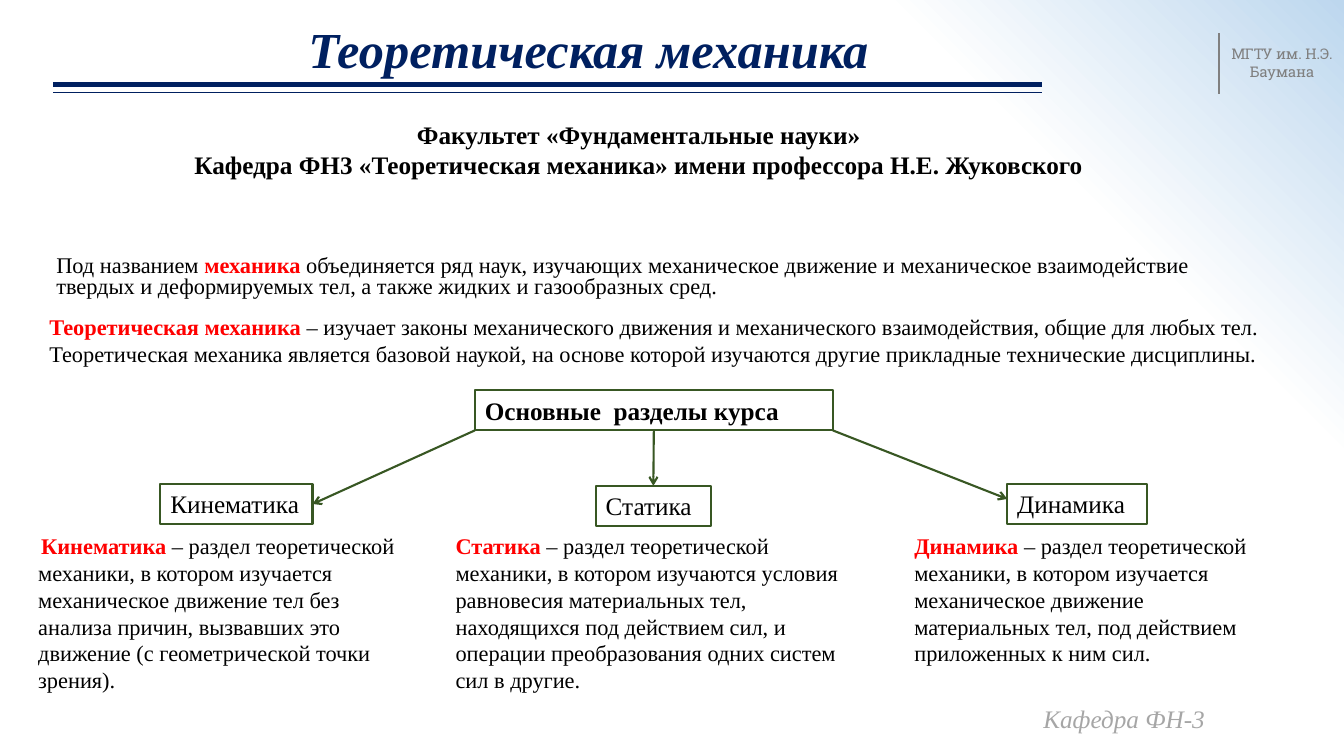
from pptx import Presentation
from pptx.dml.color import RGBColor
from pptx.enum.shapes import MSO_CONNECTOR, MSO_SHAPE
from pptx.enum.text import MSO_ANCHOR, PP_ALIGN
from pptx.oxml import parse_xml
from pptx.oxml.ns import nsdecls
from pptx.util import Inches, Pt
from lxml.etree import SubElement
from pptx.oxml.ns import qn

NAVY = RGBColor(0x00, 0x20, 0x60)
GREEN = RGBColor(0x38, 0x57, 0x23)
RED = RGBColor(0xFF, 0x00, 0x00)
BLACK = RGBColor(0x00, 0x00, 0x00)
GRAY = RGBColor(0x80, 0x80, 0x80)
SILVER = RGBColor(0xA6, 0xA6, 0xA6)

deck = Presentation()
deck.slide_width = Inches(13.33)
deck.slide_height = Inches(7.5)
slide = deck.slides.add_slide(deck.slide_layouts[6])
shapes = slide.shapes

slide.element.cSld.insert(0, parse_xml(
    f'<p:bg {nsdecls("p", "a")}><p:bgPr><a:gradFill rotWithShape="1"><a:gsLst>'
    '<a:gs pos="78000"><a:srgbClr val="FFFFFF"/></a:gs>'
    '<a:gs pos="100000"><a:srgbClr val="BDD7EE"/></a:gs></a:gsLst>'
    '<a:path path="circle"><a:fillToRect t="100000" r="100000"/></a:path>'
    '</a:gradFill><a:effectLst/></p:bgPr></p:bg>'))


def write(shape, lines, size, align=PP_ALIGN.LEFT, face="Times New Roman"):
    frame = shape.text_frame
    frame.word_wrap = True
    frame.vertical_anchor = MSO_ANCHOR.TOP
    for i, runs in enumerate(lines):
        para = frame.paragraphs[0] if i == 0 else frame.add_paragraph()
        para.alignment = align
        for text, color, bold, italic in runs:
            run = para.add_run()
            run.text = text
            run.font.name = face
            run.font.size = Pt(size)
            run.font.color.rgb = color
            run.font.bold = bold
            run.font.italic = italic
    return frame.paragraphs[0]


def draw(x1, y1, x2, y2, color, width, arrow=False):
    line = shapes.add_connector(MSO_CONNECTOR.STRAIGHT, Inches(x1), Inches(y1),
                                Inches(x2), Inches(y2))
    line.line.color.rgb = color
    line.line.width = Pt(width)
    if arrow:
        SubElement(line.line._get_or_add_ln(), qn("a:tailEnd"), type="arrow")
    SubElement(line._element.spPr, qn("a:effectLst"))
    return line


draw(12.09, 0.33, 12.09, 0.93, GRAY, 1.5)
draw(0.53, 0.84, 10.33, 0.84, NAVY, 3.5)
draw(0.53, 0.92, 10.33, 0.92, NAVY, 0.75)

school = shapes.add_textbox(Inches(12.09), Inches(0.4), Inches(1.25), Inches(0.45))
write(school, [[("МГТУ им. Н.Э. Баумана", GRAY, False, False)]], 10.5,
      PP_ALIGN.CENTER, "Roboto Slab")

title = shapes.add_textbox(Inches(2.96), Inches(0.13), Inches(6.54), Inches(0.71))
write(title, [[("Теоретическая механика", NAVY, True, True)]], 36)

chair = shapes.add_textbox(Inches(1.08), Inches(1.13), Inches(10.51), Inches(0.68))
write(chair, [
    [("Факультет «Фундаментальные науки»", BLACK, True, False)],
    [("Кафедра ФН3 «Теоретическая механика» имени профессора Н.Е. Жуковского",
      BLACK, True, False)],
], 18, PP_ALIGN.CENTER)

intro = shapes.add_textbox(Inches(0.46), Inches(2.49), Inches(11.98), Inches(0.53))
para = write(intro, [[
    ("Под названием ", BLACK, False, False),
    ("механика ", RED, True, False),
    ("объединяется ряд наук, изучающих механическое движение и механическое "
     "взаимодействие твердых и деформируемых тел, а также жидких и газообразных сред.",
     BLACK, False, False),
]], 16)
para.line_spacing = 0.8

theory = shapes.add_textbox(Inches(0.39), Inches(3.06), Inches(12.32), Inches(0.64))
write(theory, [[
    ("Теоретическая механика ", RED, True, False),
    ("– изучает законы механического движения и механического взаимодействия, общие "
     "для любых тел. Теоретическая механика является базовой наукой, на основе которой "
     "изучаются другие прикладные технические дисциплины.", BLACK, False, False),
]], 16)

boxes = []
for text, left, top, width, bold in [
    ("Основные  разделы курса", 4.71, 3.87, 3.55, True),
    ("Кинематика", 1.59, 4.8, 1.51, False),
    ("Статика", 5.91, 4.82, 1.14, False),
    ("Динамика", 9.99, 4.8, 1.39, False),
]:
    box = shapes.add_shape(MSO_SHAPE.RECTANGLE, Inches(left), Inches(top),
                           Inches(width), Inches(0.4))
    box.shadow.inherit = False
    box.fill.background()
    box.line.color.rgb = GREEN
    box.line.width = Pt(1.5)
    write(box, [[(text, BLACK, bold, False)]], 18)
    boxes.append(box)
course, motion, rest, force = boxes

west = draw(4.71, 4.27, 3.1, 5, GREEN, 1.5, True)
west.end_connect(motion, 3)
south = draw(6.48, 4.27, 6.48, 4.82, GREEN, 1.5, True)
south.begin_connect(course, 2)
south.end_connect(rest, 0)
draw(8.26, 4.27, 9.99, 4.95, GREEN, 1.5, True)

for term, text, left, width, height, margin, indent in [
    ("Кинематика", "механики, в котором изучается механическое движение тел без анализа "
     "причин, вызвавших это движение (с геометрической точки зрения).",
     0.09, 4.09, 1.8, 0.19, 0.03),
    ("Статика", "механики, в котором изучаются условия равновесия материальных тел, "
     "находящихся под действием сил, и операции преобразования одних систем сил в другие.",
     4.42, 4.11, 1.72, 0, 0),
    ("Динамика", "механики, в котором изучается механическое движение материальных тел, "
     "под действием приложенных к ним сил.", 8.97, 3.81, 1.45, 0, 0),
]:
    note = shapes.add_textbox(Inches(left), Inches(5.23), Inches(width), Inches(height))
    para = write(note, [[
        (term, RED, True, False),
        (" – раздел теоретической " + text, BLACK, False, False),
    ]], 16)
    props = para._p.get_or_add_pPr()
    props.set("marL", str(Inches(margin)))
    props.set("indent", str(Inches(indent)))

footer = shapes.add_textbox(Inches(10.25), Inches(6.93), Inches(2.19), Inches(0.4))
write(footer, [[("Кафедра ФН-3", SILVER, False, True)]], 18)

deck.save("out.pptx")
